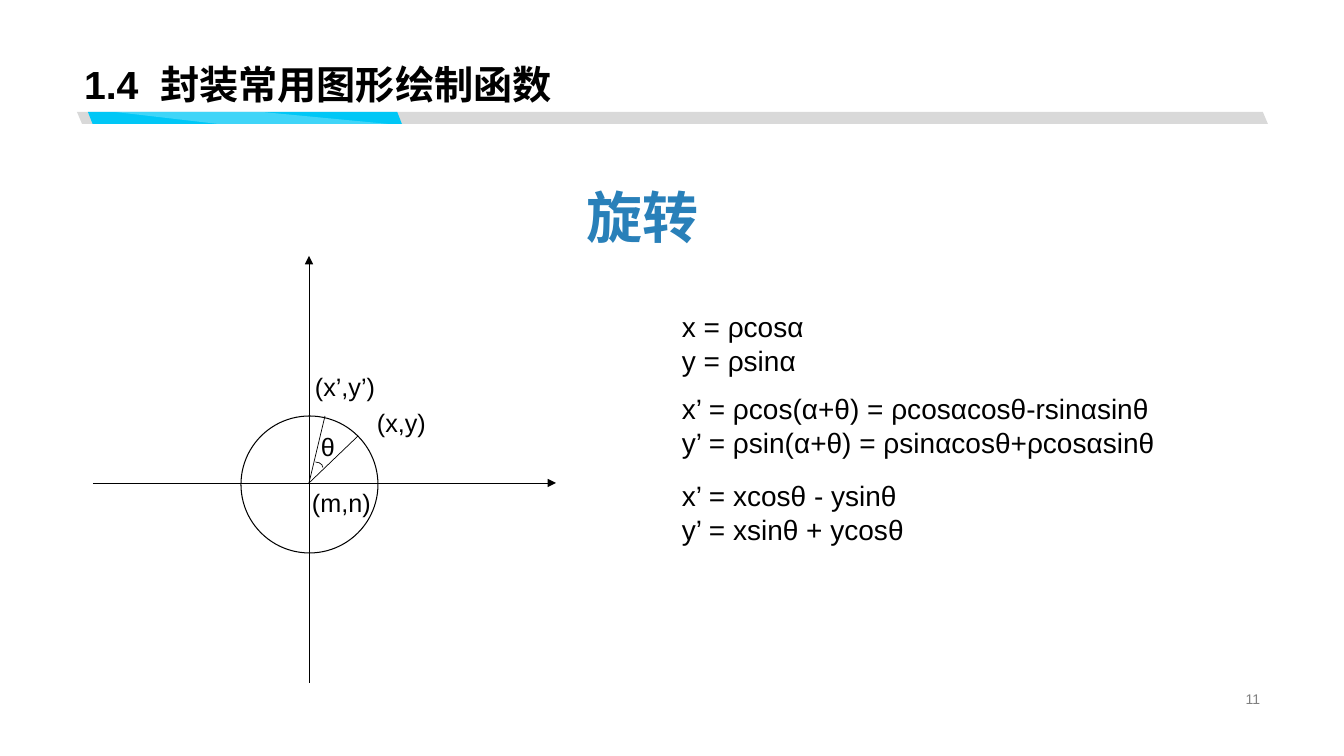
import dataclasses
import pptx
import pptx.dml.color
import pptx.enum.shapes
import pptx.enum.text
import pptx.oxml.ns
import pptx.util
from lxml import etree

SHAPE = pptx.enum.shapes.MSO_SHAPE
ALIGN = pptx.enum.text.PP_ALIGN
ANCHOR = pptx.enum.text.MSO_ANCHOR
FIT = pptx.enum.text.MSO_AUTO_SIZE


@dataclasses.dataclass(frozen=True)
class Theme:
    font: str = "Arial"
    ink: str = "000000"
    heading: str = "2980B9"
    number: str = "808080"
    rail: str = "D9D9D9"
    accent: str = "00C7F6"
    gloss: str = "FFFFFF"
    title_size: int = 28
    heading_size: int = 40
    formula_size: int = 20
    label_size: int = 18
    number_size: int = 10


THEME = Theme()
SCALE = 9071.43  # EMU in one px
WIDTH, HEIGHT = 1344, 756

# Each title span: wording, letter spacing in points
TITLE = [("1.4", 0), (" ", 7.8), ("封装常用图形绘制函数", 0)]
TITLE_BOX = (74, 0, 1197, 113)
HEADING = ("旋转", (575, 178, 135, 78))
PAGE_NUMBER = ("11", (950, 687, 320, 23))

FORMULA_LEFT, FORMULA_HEIGHT = 672, 78
FORMULAS = [  # top, width, lines
    (305, 142, ["x = ρcosα", "y = ρsinα"]),
    (387, 527, ["x’ = ρcos(α+θ) = ρcosαcosθ-rsinαsinθ",
                "y’ = ρsin(α+θ) = ρsinαcosθ+ρcosαsinθ"]),
    (474, 411, ["x’ = xcosθ - ysinθ", "y’ = xsinθ + ycosθ"]),
]

CENTRE = (309, 483)
AXES = [((93, 483), (556, 483)), ((309, 683), (309, 256))]
RAYS = [((325, 416), CENTRE), (CENTRE, (358, 436))]
CURVES = [  # preset, box, line width
    (SHAPE.OVAL, (241, 416, 137, 137), 0.75),
    (SHAPE.ARC, (308, 462, 15, 11), 0.5),
]
LABELS = [
    ("(x’,y’)", (305, 366, 128, 46)),
    ("(x,y)", (367, 402, 128, 46)),
    ("(m,n)", (302, 482, 128, 46)),
    ("θ", (311, 426, 29, 46)),
]

BAR_TOP, BAR_HEIGHT = 112, 12
BARS = [  # left, width, slant, colour
    (77, 1191, 0.424, THEME.rail),
    (88, 314, 0.388, THEME.accent),
]
GLOSS = [(388, 124), (262, 112), (115, 112), (218, 124)]


def px(length):
    return pptx.util.Emu(round(length * SCALE))


def rgb(colour):
    return pptx.dml.color.RGBColor.from_string(colour)


def add_xml(parent, tag, **values):
    child = etree.SubElement(parent, pptx.oxml.ns.qn(tag))
    for name, value in values.items():
        child.set(name, value)
    return child


def set_all(target, values):
    for name, value in values.items():
        setattr(target, name, value)


def paint(shape, colour):
    shape.shadow.inherit = False
    shape.fill.solid()
    shape.fill.fore_color.rgb = rgb(colour)
    shape.line.fill.background()


def draw_line(line, width):
    line.color.rgb = rgb(THEME.ink)
    line.width = pptx.util.Pt(width)


def add_span(para, text, size, colour=THEME.ink, bold=False, spacing=0):
    span = para.add_run()
    span.text = text
    set_all(span.font, {"name": THEME.font, "size": pptx.util.Pt(size), "bold": bold})
    span.font.color.rgb = rgb(colour)
    if spacing:
        span.font._element.set("spc", str(round(spacing * 100)))


def add_text(page, lines, box, size, frame=None, align=ALIGN.LEFT, **style):
    text_frame = page.shapes.add_textbox(*map(px, box)).text_frame
    set_all(text_frame, {"word_wrap": True, "auto_size": FIT.SHAPE_TO_FIT_TEXT,
                         **(frame or {})})
    for index, line in enumerate(lines):
        para = text_frame.add_paragraph() if index else text_frame.paragraphs[0]
        para.alignment = align
        add_span(para, line, size, **style)


def add_segment(page, start, end, arrow=False):
    segment = page.shapes.add_connector(
        pptx.enum.shapes.MSO_CONNECTOR.STRAIGHT, *map(px, start + end))
    draw_line(segment.line, 0.5)
    if arrow:
        add_xml(segment.line._get_or_add_ln(), "a:tailEnd", type="triangle")
    add_xml(segment._element.spPr, "a:effectLst")


def add_title_bar(page):
    for left, width, slant, colour in BARS:
        bar = page.shapes.add_shape(
            SHAPE.PARALLELOGRAM, *map(px, (left, BAR_TOP, width, BAR_HEIGHT)))
        bar.adjustments[0] = slant
        bar._element.spPr.xfrm.set("flipH", "1")
        paint(bar, colour)
    outline = page.shapes.build_freeform(*GLOSS[0], scale=SCALE)
    outline.add_line_segments(GLOSS[1:], close=True)
    gloss = outline.convert_to_shape()
    paint(gloss, THEME.gloss)
    colour = gloss._element.spPr.find(".//" + pptx.oxml.ns.qn("a:srgbClr"))
    add_xml(colour, "a:alpha", val="25000")


def add_title(page):
    title = page.shapes.title
    set_all(title, dict(zip(("left", "top", "width", "height"), map(px, TITLE_BOX))))
    set_all(title.text_frame, {"vertical_anchor": ANCHOR.BOTTOM, "word_wrap": True,
                               "auto_size": FIT.NONE})
    para = title.text_frame.paragraphs[0]
    set_all(para, {"alignment": ALIGN.LEFT, "line_spacing": 0.9})
    for text, spacing in TITLE:
        add_span(para, text, THEME.title_size, bold=True, spacing=spacing)


def add_rotation_diagram(page):
    for start, end in AXES:
        add_segment(page, start, end, arrow=True)
    for preset, box, width in CURVES:
        curve = page.shapes.add_shape(preset, *map(px, box))
        curve.shadow.inherit = False
        curve.fill.background()
        draw_line(curve.line, width)
    for start, end in RAYS:
        add_segment(page, start, end)
    for text, box in LABELS:
        add_text(page, [text], box, THEME.label_size)


def main():
    deck = pptx.Presentation()
    set_all(deck, {"slide_width": px(WIDTH), "slide_height": px(HEIGHT)})
    page = deck.slides.add_slide(deck.slide_layouts.get_by_name("Title Only"))
    add_title_bar(page)
    add_title(page)
    text, box = PAGE_NUMBER
    add_text(page, [text], box, THEME.number_size, align=ALIGN.RIGHT, colour=THEME.number,
             frame={"vertical_anchor": ANCHOR.MIDDLE, "auto_size": FIT.NONE})
    text, box = HEADING
    add_text(page, [text], box, THEME.heading_size, frame={"word_wrap": False},
             align=ALIGN.CENTER, colour=THEME.heading, bold=True, spacing=0.5)
    add_rotation_diagram(page)
    for top, width, lines in FORMULAS:
        add_text(page, lines, (FORMULA_LEFT, top, width, FORMULA_HEIGHT),
                 THEME.formula_size)
    deck.save("out.pptx")


if __name__ == "__main__":
    main()
